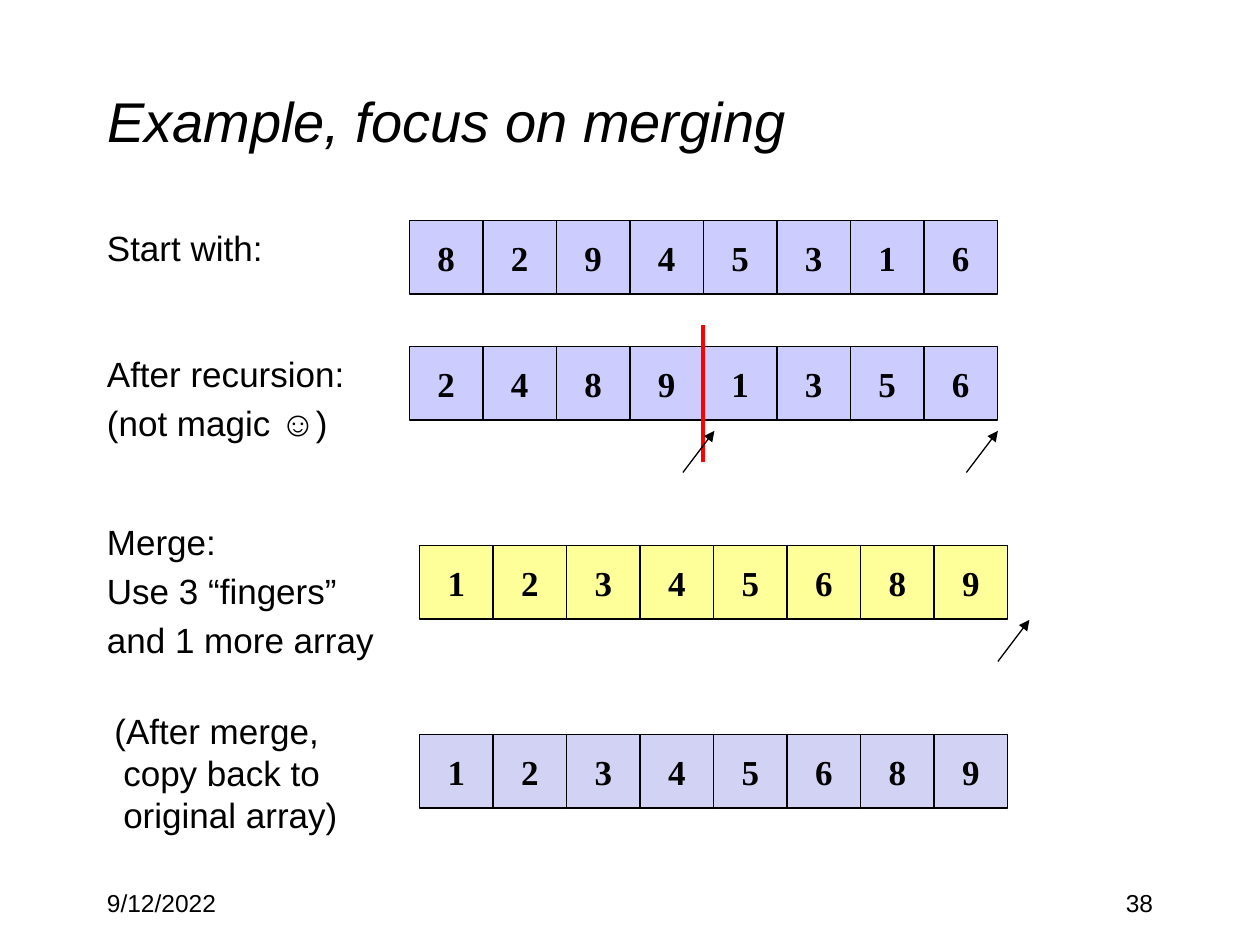
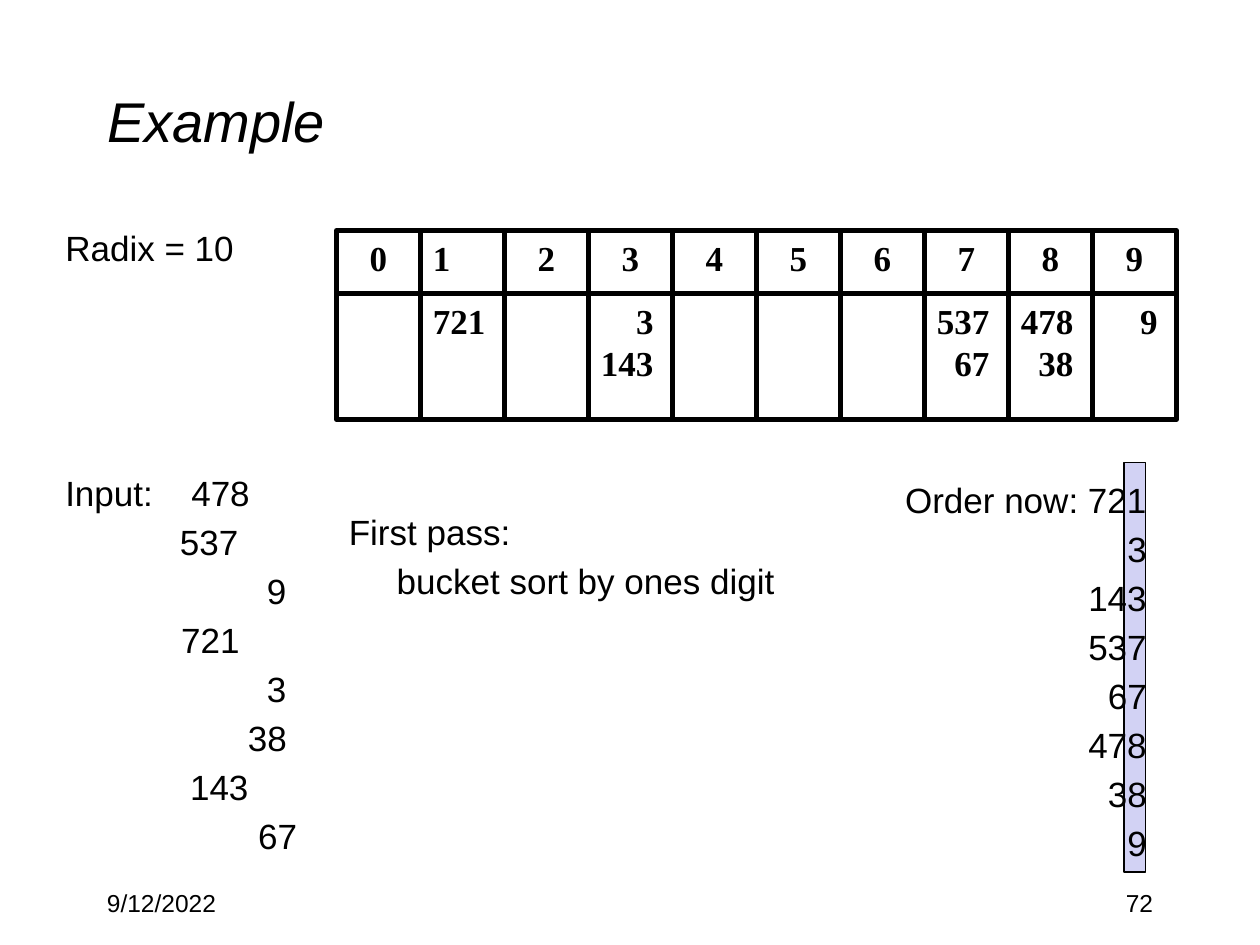
from dataclasses import dataclass
from typing import Any, NamedTuple, Optional

from lxml.etree import SubElement as Sub
from pptx import Presentation
from pptx.dml.color import RGBColor as Rgb
from pptx.enum.shapes import MSO_CONNECTOR as Link, MSO_SHAPE as Form
from pptx.enum.text import MSO_ANCHOR as Anchor, PP_ALIGN as Align
from pptx.oxml.ns import qn
from pptx.util import Inches, Pt


@dataclass(frozen=True)
class Theme:
    black: Rgb = Rgb(0, 0, 0)
    red: Rgb = Rgb(255, 0, 0)
    blue: Rgb = Rgb(0xCC, 0xCC, 0xFF)
    pale: Rgb = Rgb(0xD2, 0xD2, 0xF4)
    yellow: Rgb = Rgb(0xFF, 0xFF, 0x99)
    sans: str = "Arial"
    serif: str = "Times New Roman"
    head: Pt = Pt(32)
    body: Pt = Pt(20)
    foot: Pt = Pt(14)
    pitch: Pt = Pt(24)
    gap: Pt = Pt(4)
    thin: Pt = Pt(0.75)
    thick: Pt = Pt(2.75)
    bold: Pt = Pt(2.25)


LOOK = Theme()
HEAD = dict(name=LOOK.sans, size=LOOK.head, italic=True)
BODY = dict(name=LOOK.sans, size=LOOK.body)
FOOT = dict(name=LOOK.sans, size=LOOK.foot)
CELL = dict(name=LOOK.serif, size=LOOK.body, bold=True)
SIDE = 7 / 12
BIN = 2 / 3


class Box(NamedTuple):
    left: float
    top: float
    wide: float
    high: float


class Line(NamedTuple):
    text: str
    left: float = 0
    hang: float = 0
    tab: Optional[float] = None


@dataclass(frozen=True)
class Note:
    box: Box
    lines: list[Line]
    align: Align = Align.LEFT


@dataclass(frozen=True)
class Row:
    left: float
    top: float
    fill: Rgb
    items: str


def style(item: Any, **vals: Any) -> None:
    for key, val in vals.items():
        setattr(item, key, val)


def place(box: Box) -> list[Inches]:
    return [Inches(size) for size in box]


def write(frame: Any, lines: list[Line], font: dict, align: Align, gap: Pt = Pt(0)) -> None:
    for num, line in enumerate(lines):
        para = frame.add_paragraph() if num else frame.paragraphs[0]
        props = para._p.get_or_add_pPr()
        props.set("marL", str(Inches(line.left)))
        props.set("indent", str(Inches(line.hang)))
        if line.tab is not None:
            stops = Sub(props, qn("a:tabLst"))
            Sub(stops, qn("a:tab"), pos=str(Inches(line.tab)), algn="l")
        style(para, alignment=align, line_spacing=LOOK.pitch,
              space_before=gap if num else Pt(0))
        run = para.add_run()
        run.text = line.text
        style(run.font, **font)
        run.font.color.rgb = LOOK.black


def draw_note(slide: Any, note: Note) -> None:
    frame = slide.shapes.add_textbox(*place(note.box)).text_frame
    frame.word_wrap = True
    write(frame, note.lines, BODY, note.align, LOOK.gap)


def draw_rect(slide: Any, box: Box, fill: Optional[Rgb] = None, width: Pt = LOOK.thin) -> Any:
    rect = slide.shapes.add_shape(Form.RECTANGLE, *place(box))
    rect.shadow.inherit = False
    if fill is None:
        rect.fill.background()
    else:
        rect.fill.solid()
        rect.fill.fore_color.rgb = fill
    rect.line.color.rgb = LOOK.black
    rect.line.width = width
    return rect


def draw_row(slide: Any, row: Row) -> None:
    for num, item in enumerate(row.items):
        box = Box(row.left + num * SIDE, row.top, SIDE, SIDE)
        frame = draw_rect(slide, box, row.fill).text_frame
        style(frame, word_wrap=False, vertical_anchor=Anchor.MIDDLE)
        write(frame, [Line(item)], CELL, Align.CENTER)


def draw_bin(slide: Any, num: int, items: list[str]) -> None:
    left = 2.67 + num * BIN
    frame = draw_rect(slide, Box(left, 1.83, BIN, 0.5), width=LOOK.thick).text_frame
    frame.vertical_anchor = Anchor.TOP
    write(frame, [Line(str(num))], CELL, Align.LEFT if num == 1 else Align.CENTER)
    frame = draw_rect(slide, Box(left, 2.33, BIN, 1), width=LOOK.thick).text_frame
    style(frame, vertical_anchor=Anchor.TOP,
          margin_left=Inches(0.05), margin_right=Inches(0.15))
    write(frame, [Line(item) for item in items], CELL, Align.RIGHT)


def draw_line(slide: Any, start: tuple[float, float], end: tuple[float, float],
              color: Rgb, width: Pt, arrow: bool = False) -> None:
    ends = [Inches(pos) for pos in (*start, *end)]
    line = slide.shapes.add_connector(Link.STRAIGHT, *ends)
    line.line.color.rgb = color
    line.line.width = width
    if arrow:
        Sub(line.line._get_or_add_ln(), qn("a:tailEnd"), type="triangle")
    Sub(line._element.spPr, qn("a:effectLst"))


def draw_finger(slide: Any, left: float, top: float) -> None:
    draw_line(slide, (left - 0.25, top + 0.33), (left, top), LOOK.black, LOOK.thin, True)


def start_slide(deck: Any, title: str, page: str) -> Any:
    slide = deck.slides.add_slide(deck.slide_layouts[5])
    head = slide.shapes.title
    spots = place(Box(0.75, 0.33, 8.5, 1.25))
    style(head, **dict(zip(("left", "top", "width", "height"), spots)))
    frame = head.text_frame
    frame.vertical_anchor = Anchor.MIDDLE
    para = frame.paragraphs[0]
    para.alignment = Align.LEFT
    run = para.add_run()
    run.text = title
    style(run.font, **HEAD)
    run.font.color.rgb = LOOK.black
    for text, left, align in (("9/12/2022", 0.75, Align.LEFT), (page, 7.17, Align.RIGHT)):
        frame = slide.shapes.add_textbox(*place(Box(left, 7, 2.08, 0.5))).text_frame
        frame.word_wrap = True
        write(frame, [Line(text)], FOOT, align)
        frame.paragraphs[0].line_spacing = 1.0
    return slide


def build_merge(deck: Any) -> None:
    slide = start_slide(deck, "Example, focus on merging", "38")
    notes = [
        Note(Box(0.75, 1.75, 2.42, 1), [Line("Start with:")]),
        Note(Box(0.75, 2.75, 2.42, 1.08), [Line("After recursion:"), Line("(not magic ☺)")]),
        Note(Box(0.75, 4.08, 2.42, 1.33),
             [Line("Merge:"), Line("Use 3 “fingers”"), Line("and 1 more array")]),
        Note(Box(0.5, 5.58, 2.42, 1.33),
             [Line("(After merge, copy back to original array)", 0.38, -0.07)]),
    ]
    rows = [
        Row(3.25, 1.75, LOOK.blue, "82945316"),
        Row(3.25, 2.75, LOOK.blue, "24891356"),
        Row(3.33, 4.33, LOOK.yellow, "12345689"),
        Row(3.33, 5.83, LOOK.pale, "12345689"),
    ]
    for note in notes:
        draw_note(slide, note)
    for row in rows:
        draw_row(slide, row)
    draw_line(slide, (5.58, 2.58), (5.58, 3.67), LOOK.red, LOOK.bold)
    for spot in ((5.67, 3.42), (7.92, 3.42), (8.17, 4.92)):
        draw_finger(slide, *spot)


def build_radix(deck: Any) -> None:
    slide = start_slide(deck, "Example", "72")
    draw_rect(slide, Box(8.92, 3.67, 0.17, 3.25), LOOK.pale)
    feed = [("537", 0.91), ("9", 1.6), ("721", 0.92), ("3", 1.6),
            ("38", 1.45), ("143", 0.99), ("67", 1.53)]
    order = ["Order now: 721", "3", "143", "537", "67", "478", "38", "9"]
    notes = [
        Note(Box(0.42, 1.75, 2.17, 0.5), [Line("Radix = 10")]),
        Note(Box(0.42, 3.69, 2.17, 3.23),
             [Line("Input:\t478", tab=0.92)] + [Line(*item) for item in feed]),
        Note(Box(2.67, 4, 4.58, 1),
             [Line("First pass:"), Line("bucket sort by ones digit", 0.38)]),
        Note(Box(7, 3.75, 2.2, 3.25), [Line(item) for item in order], Align.RIGHT),
    ]
    for note in notes:
        draw_note(slide, note)
    bins = {1: ["721"], 3: ["3", "143"], 7: ["537", "67"], 8: ["478", "38"], 9: ["9"]}
    for num in range(10):
        draw_bin(slide, num, bins.get(num, []))


def main() -> None:
    deck = Presentation()
    style(deck, slide_width=Inches(10), slide_height=Inches(7.5))
    build_merge(deck)
    build_radix(deck)
    deck.save("out.pptx")


if __name__ == "__main__":
    main()
